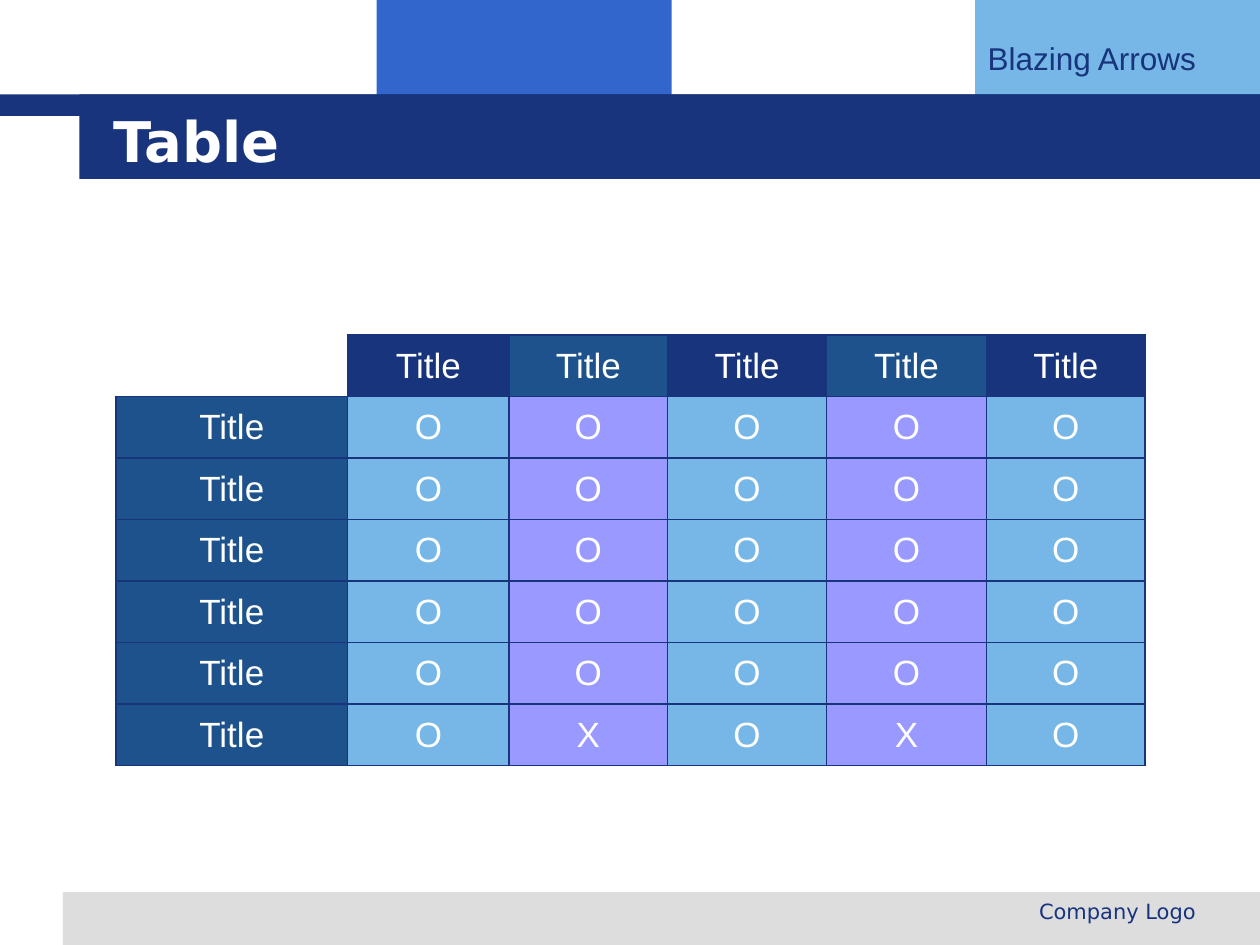
import pptx
import pptx.util
import pptx.dml.color
import pptx.enum.shapes
import pptx.enum.text
import pptx.oxml
import pptx.oxml.ns

Inches, Pt = pptx.util.Inches, pptx.util.Pt
PP_ALIGN, MIDDLE = pptx.enum.text.PP_ALIGN, pptx.enum.text.MSO_ANCHOR.MIDDLE
NAVY, DEEP, SKY, VIOLET, WHITE = "17347D", "1D528D", "77B7E7", "9999FF", "FFFFFF"


def paint(fill, hex_color, opacity=100):
    fill.solid()
    fill.fore_color.rgb = pptx.dml.color.RGBColor.from_string(hex_color)
    if opacity < 100:
        color = fill._xPr.find(".//" + pptx.oxml.ns.qn("a:srgbClr"))
        color.append(pptx.oxml.parse_xml(
            f'<a:alpha {pptx.oxml.ns.nsdecls("a")} val="{opacity * 1000}"/>'))


def write(frame, text, size, font, color, align, bold=False):
    frame.text = text
    paragraph = frame.paragraphs[0]
    paragraph.alignment = align
    face = paragraph.runs[0].font
    face.size, face.name, face.bold = Pt(size), font, bold
    paint(face.fill, color)


deck = pptx.Presentation()
deck.slide_width, deck.slide_height = Inches(10), Inches(7.5)
slide = deck.slides.add_slide(deck.slide_layouts[5])

# Header blocks, footer bar and title band
bands = []
for left, top, width, height, color in [
    (2.99, 0, 2.34, 0.92, "3366CC"),
    (7.74, 0, 2.26, 0.92, SKY),
    (0.5, 7.08, 9.5, 0.42, "DDDDDD"),
    (0, 0.75, 10, 0.17, NAVY),
    (0.63, 0.75, 9.37, 0.67, NAVY),
]:
    band = slide.shapes.add_shape(
        pptx.enum.shapes.MSO_SHAPE.RECTANGLE,
        Inches(left), Inches(top), Inches(width), Inches(height))
    paint(band.fill, color)
    band.line.fill.background()
    band.shadow.inherit = False
    bands.append(band)

theme_name = bands[1].text_frame
theme_name.vertical_anchor = MIDDLE
write(theme_name, "Blazing Arrows", 18, "Arial", NAVY, PP_ALIGN.LEFT)

# Footer text
footer = slide.shapes.add_textbox(
    Inches(6.42), Inches(7.08), Inches(3.17), Inches(0.35)).text_frame
footer.word_wrap = True
write(footer, "Company Logo", 12, "DejaVu Sans", NAVY, PP_ALIGN.RIGHT)

# Title, brought in front of its band
title = slide.shapes.title
title.left, title.top = Inches(0.8), Inches(0.8)
title.width, title.height = Inches(8.53), Inches(0.62)
title.text_frame.vertical_anchor = MIDDLE
title.text_frame.auto_size = pptx.enum.text.MSO_AUTO_SIZE.NONE
write(title.text_frame, "Table", 32, "DejaVu Sans", WHITE, PP_ALIGN.LEFT, True)
title.element.getparent().append(title.element)

# Table grid
column_widths = [1.84, 1.28, 1.26, 1.26, 1.27, 1.26]
row_count = 7
grid = slide.shapes.add_table(
    row_count, len(column_widths),
    Inches(0.92), Inches(2.66), Inches(8.17), Inches(3.42)).table
grid.first_row = grid.horz_banding = False
for column, width in zip(grid.columns, column_widths):
    column.width = Inches(width)

# Cells: colours alternate by row and by column
for r in range(row_count):
    for c in range(len(column_widths)):
        cell = grid.cell(r, c)
        corner = r == 0 and c == 0
        for side in "LRTB":
            if corner and side in "LT":
                stroke = "<a:noFill/>"
            else:
                stroke = f'<a:solidFill><a:srgbClr val="{NAVY}"/></a:solidFill>'
            cell._tc.get_or_add_tcPr().append(pptx.oxml.parse_xml(
                f'<a:ln{side} {pptx.oxml.ns.nsdecls("a")} w="12700">{stroke}</a:ln{side}>'))
        if corner:
            cell.fill.background()
            continue

        text = "Title"
        if r == 0:
            color, opacity = (NAVY, 100) if c % 2 else (DEEP, 70)
        elif c == 0:
            color, opacity = DEEP, 100 if r % 2 else 70
        else:
            last_row = r == row_count - 1
            text = "X" if last_row and c % 2 == 0 else "O"
            if c % 2:
                color, opacity = SKY, 80 if r % 2 else 50 if last_row else 48
            else:
                color, opacity = VIOLET, 82 if r % 2 else 50
        paint(cell.fill, color, opacity)
        cell.vertical_anchor = MIDDLE
        write(cell.text_frame, text, 20, "Arial", WHITE, PP_ALIGN.CENTER)

for row in grid.rows:
    row.height = Inches(3.42 / row_count)

deck.save("out.pptx")
